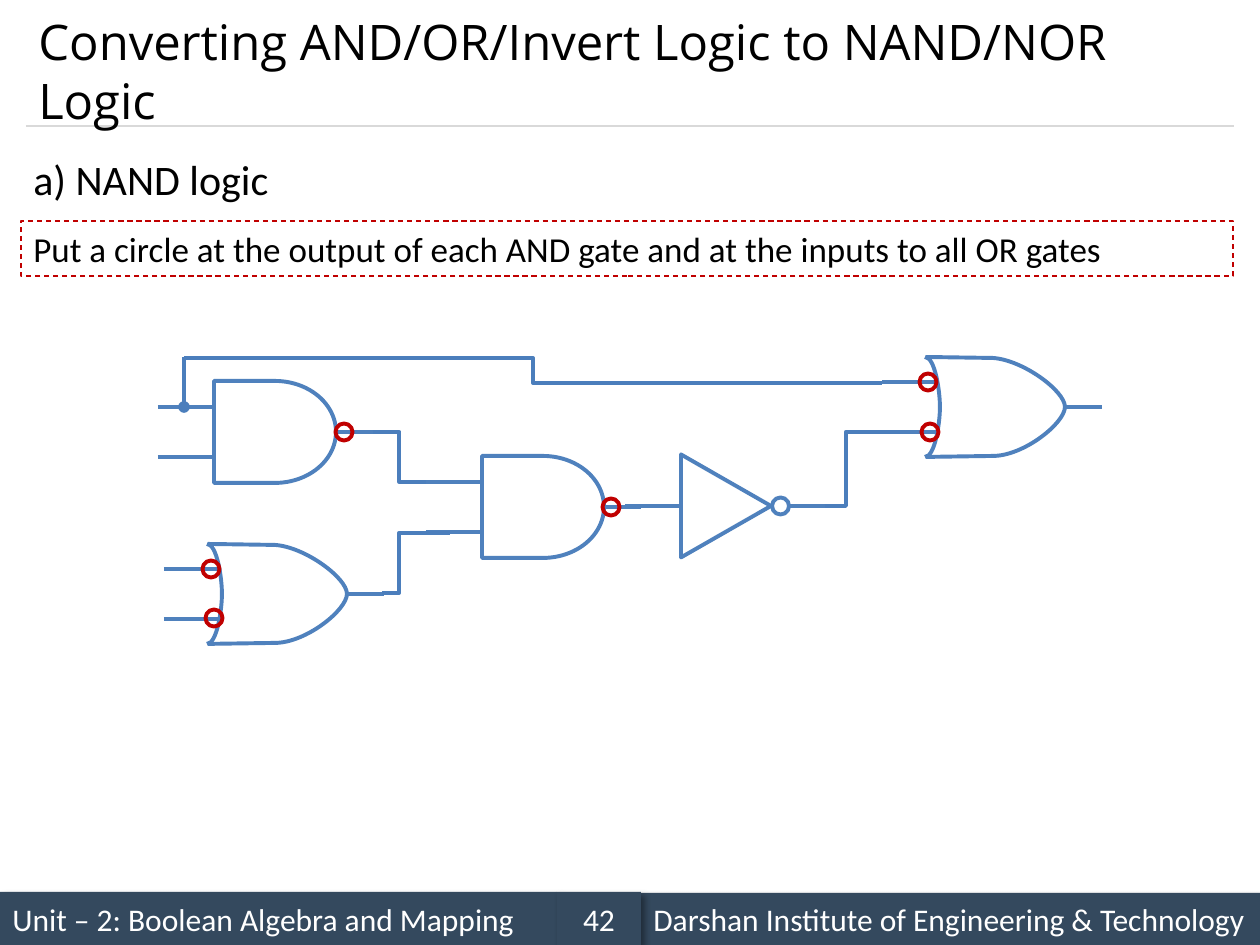
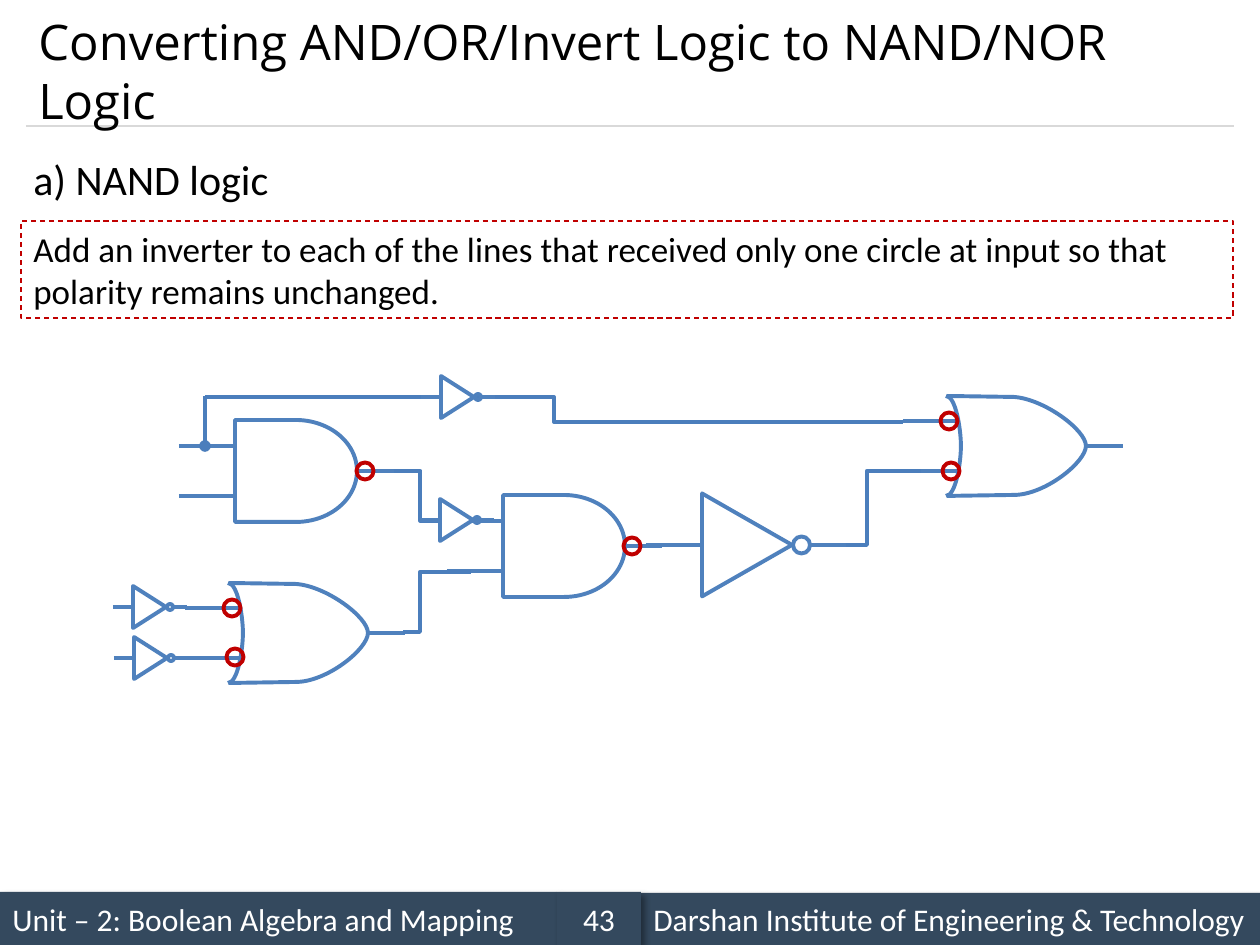
from lxml import etree
from pptx import Presentation
from pptx import util as u
from pptx.dml.color import RGBColor
from pptx.enum import dml, shapes, text
from pptx.oxml import ns

PX = 914400 / 126
COLOURS = {
    "gate": "4F81BD",
    "wire": "4B7EBC",
    "mark": "C00000",
    "band": "34495E",
    "rule": "D9D9D9",
    "ink": "000000",
    "paper": "FFFFFF",
}
SLIDE_W, SLIDE_H = 1260, 945
TITLE = "Converting AND/OR/Invert Logic to NAND/NOR Logic"
UNIT = "Unit – 2: Boolean Algebra and Mapping"
INSTITUTE = "Darshan Institute of Engineering & Technology"
MARKS = [(344, 432), (611, 507), (211, 569), (214, 618), (928, 382), (930, 432)]
INVERTERS = [(440, 520), (441, 397), (134, 658), (133, 607)]


def emu(*lengths):
    """Turn px lengths into EMU."""
    return [u.Emu(round(length * PX)) for length in lengths]


def rgb(name):
    """Look up a named colour."""
    return RGBColor.from_string(COLOURS[name])


def write(box, words, font="Calibri", size=18, colour="ink",
          align=text.PP_ALIGN.LEFT, anchor=text.MSO_ANCHOR.TOP):
    """Put formatted words into a box."""
    frame = box.text_frame
    frame.word_wrap = True
    frame.vertical_anchor = anchor
    paragraph = frame.paragraphs[0]
    paragraph.alignment = align
    run = paragraph.add_run()
    run.text = words
    run.font.name = font
    run.font.size = u.Pt(size)
    run.font.color.rgb = rgb(colour)


def paint(shape, line=None, fill=None, width=2.25):
    """Give a shape its outline and fill and remove its shadow."""
    shape.shadow.inherit = False
    if fill:
        shape.fill.solid()
        shape.fill.fore_color.rgb = rgb(fill)
    else:
        shape.fill.background()
    if line:
        shape.line.color.rgb = rgb(line)
        shape.line.width = u.Pt(width)
    else:
        shape.line.fill.background()
    return shape


def preset(slide, kind, x, y, w, h, **style):
    """Add a painted preset shape."""
    return paint(slide.shapes.add_shape(kind, *emu(x, y, w, h)), **style)


def ring(slide, x, y, size, colour):
    """Draw an open circle around a centre."""
    preset(slide, shapes.MSO_SHAPE.OVAL, x - size / 2, y - size / 2, size, size, line=colour)


def wire(slide, x1, y1, x2, y2, colour="gate", width=2.25, bend=None, dot=False):
    """Draw a straight or bent wire, with an optional junction dot at its start."""
    kind = shapes.MSO_CONNECTOR.STRAIGHT if bend is None else shapes.MSO_CONNECTOR.ELBOW
    link = slide.shapes.add_connector(kind, *emu(x1, y1, x2, y2))
    link.line.color.rgb = rgb(colour)
    link.line.width = u.Pt(width)
    properties = link._element.spPr
    if bend is not None:
        guides = properties.find(ns.qn("a:prstGeom")).get_or_add_avLst()
        etree.SubElement(guides, ns.qn("a:gd"), name="adj1", fmla=f"val {round(bend * 100000)}")
    if dot:
        etree.SubElement(properties.find(ns.qn("a:ln")), ns.qn("a:headEnd"), type="oval")
    etree.SubElement(properties, ns.qn("a:effectLst"))


def outline(slide, x, y, start, *segments):
    """Draw an open outline; a segment is one point for a line, three for a curve."""
    points = [emu(x + px, y + py) for segment in segments for px, py in segment]
    builder = slide.shapes.build_freeform(*emu(x + start[0], y + start[1]))
    builder.add_line_segments(points, close=False)
    shape = paint(builder.convert_to_shape(), line="gate")
    steps = iter(list(shape._element.iter(ns.qn("a:lnTo"))))
    for segment in segments:
        parts = [next(steps) for _ in segment]
        if len(parts) == 3:
            curve = etree.Element(ns.qn("a:cubicBezTo"))
            parts[0].addprevious(curve)
            for part in parts:
                curve.append(part[0])
                part.getparent().remove(part)


def and_gate(slide, x, y):
    """Draw an AND gate with two inputs and one output."""
    for level in (26, 76):
        wire(slide, x - 56, y + level, x, y + level)
    wire(slide, x + 124, y + 51, x + 159, y + 51)
    preset(slide, shapes.MSO_SHAPE.FLOWCHART_DELAY, x, y, 122, 102, line="gate")


def or_gate(slide, x, y):
    """Draw an OR gate with two inputs and one output."""
    for level in (25, 75):
        wire(slide, x - 44, y + level, x + 12, y + level)
    wire(slide, x + 140, y + 50, x + 176, y + 50)
    outline(slide, x, y, (0, 0), [(67, 1)],
            [(97, 3), (139, 34), (139, 50)],
            [(139, 66), (98, 99), (67, 99)], [(0, 100)])
    outline(slide, x, y, (-1, 100),
            [(9, 100), (14, 66), (14, 50)],
            [(14, 34), (9, 0), (-1, 0)])


def inverter(slide, x, y, w=33, h=42, bubble=6, lead_in=20, lead_out=14, fill="paper"):
    """Draw an inverter whose flat side is centred on x, y."""
    tip = x + w + 1
    wire(slide, x - lead_in, y, x, y)
    wire(slide, tip + bubble, y, tip + bubble + lead_out, y)
    ring(slide, tip + bubble / 2, y, bubble, "gate")
    triangle = preset(slide, shapes.MSO_SHAPE.ISOSCELES_TRIANGLE,
                      x + (w - h) / 2, y - w / 2, h, w, line="gate", fill=fill)
    triangle.rotation = 90


def circuit(slide, dx=0, dy=0):
    """Draw the gate network with its marked inputs and outputs."""
    and_gate(slide, 214 + dx, 381 + dy)
    and_gate(slide, 482 + dx, 456 + dy)
    or_gate(slide, 208 + dx, 544 + dy)
    inverter(slide, 681 + dx, 506 + dy, w=90, h=103, bubble=17,
             lead_in=56, lead_out=36, fill=None)
    or_gate(slide, 926 + dx, 357 + dy)
    for x1, y1, x2, y2, bend in [
        (373, 432, 426, 482, 0.5),
        (382, 593, 450, 533, 0.25),
        (825, 506, 900, 432, 0.28),
        (184, 358, 882, 383, 0.5),
    ]:
        wire(slide, x1 + dx, y1 + dy, x2 + dx, y2 + dy, "wire", bend=bend)
    wire(slide, 184 + dx, 407 + dy, 184 + dx, 357 + dy, "wire", dot=True)
    for x, y in MARKS:
        ring(slide, x + dx, y + dy, 17, "mark")


def band(slide, x, y, w, words, align=text.PP_ALIGN.LEFT):
    """Draw one shadowed part of the footer, down to the slide's edge."""
    part = preset(slide, shapes.MSO_SHAPE.RECTANGLE, x, y, w, SLIDE_H - y, fill="band")
    write(part, words, colour="paper", align=align, anchor=text.MSO_ANCHOR.MIDDLE)
    effects = part._element.spPr.find(ns.qn("a:effectLst"))
    shadow = etree.SubElement(effects, ns.qn("a:outerShdw"), blurRad="50800",
                              dist="38100", dir="2700000", algn="tl", rotWithShape="0")
    tint = etree.SubElement(shadow, ns.qn("a:srgbClr"), val=COLOURS["ink"])
    etree.SubElement(tint, ns.qn("a:alpha"), val="40000")


def step_slide(deck, number, instruction, note_height):
    """Add a slide with footer, title, heading and boxed instruction."""
    slide = deck.slides.add_slide(deck.slide_layouts[6])
    band(slide, 0, 892, 557, UNIT)
    wire(slide, 26, 126, 1234, 126, "rule", 0.75)
    band(slide, 641, 893, 619, INSTITUTE)
    band(slide, 557, 892, 84, str(number), text.PP_ALIGN.CENTER)
    title = slide.shapes.add_textbox(*emu(26, 15, 1207, 111))
    write(title, TITLE, font="Open Sans", size=28, anchor=text.MSO_ANCHOR.MIDDLE)
    heading = slide.shapes.add_textbox(*emu(21, 147, 1212, 63))
    write(heading, "a) NAND logic", size=24)
    note = preset(slide, shapes.MSO_SHAPE.RECTANGLE, 21, 221, 1212, note_height,
                  line="mark", width=0)
    note.line.dash_style = dml.MSO_LINE.DASH
    write(note, instruction, size=20)
    return slide


def main():
    """Build both slides and save the deck."""
    deck = Presentation()
    deck.slide_width, deck.slide_height = emu(SLIDE_W, SLIDE_H)
    circles = step_slide(
        deck, 42,
        "Put a circle at the output of each AND gate and at the inputs to all OR gates", 55)
    circuit(circles)
    polarity = step_slide(
        deck, 43,
        "Add an inverter to each of the lines that received only one circle at input "
        "so that polarity remains unchanged.", 97)
    circuit(polarity, dx=21, dy=39)
    for x, y in INVERTERS:
        inverter(polarity, x, y)
    deck.save("out.pptx")


if __name__ == "__main__":
    main()
